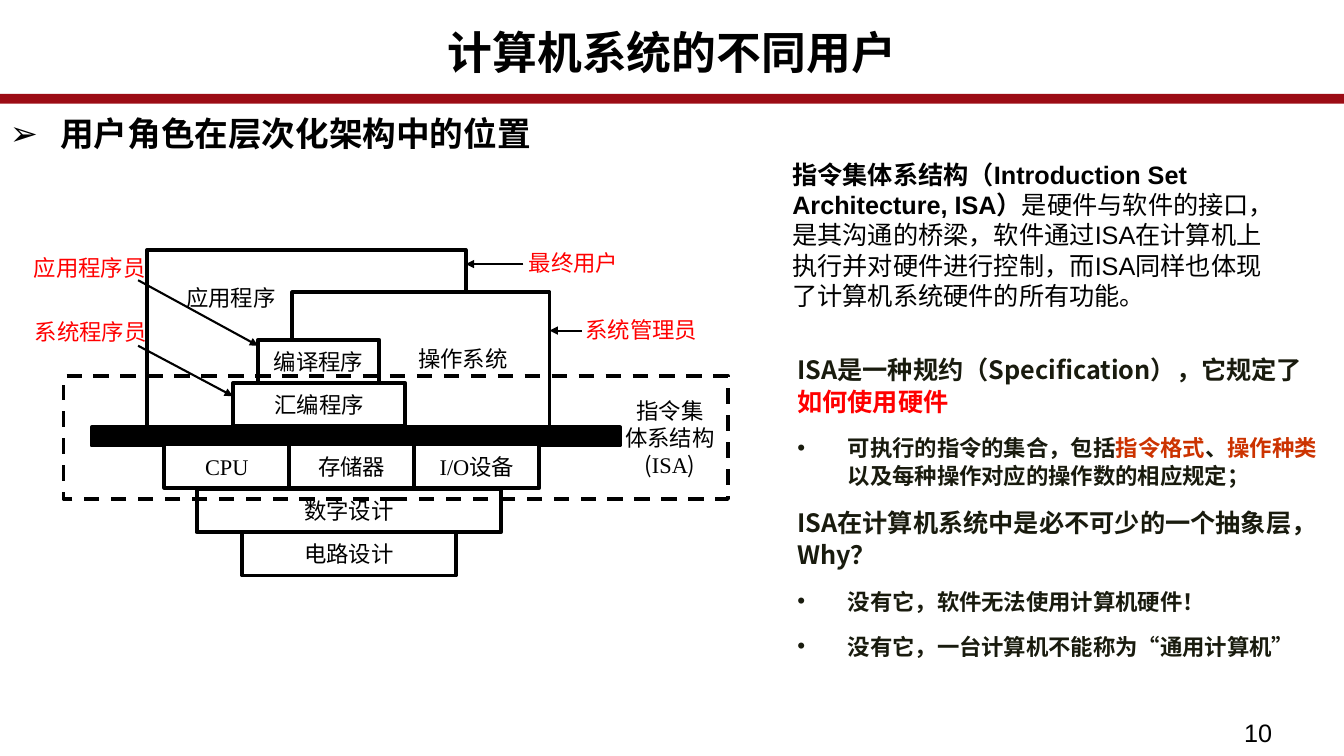
from pptx import Presentation
from pptx.dml.color import RGBColor
from pptx.enum.dml import MSO_LINE
from pptx.enum.shapes import MSO_CONNECTOR, MSO_SHAPE
from pptx.enum.text import MSO_ANCHOR, PP_ALIGN
from pptx.oxml.ns import qn
from pptx.util import Inches, Pt
from lxml import etree

BLACK = RGBColor(0x00, 0x00, 0x00)
WHITE = RGBColor(0xFF, 0xFF, 0xFF)
RED = RGBColor(0xFF, 0x00, 0x00)
DARK_RED = RGBColor(0x9C, 0x0C, 0x15)
INK = RGBColor(0x19, 0x1B, 0x0E)
ORANGE = RGBColor(0xCC, 0x33, 0x00)

RECTANGLE, ROUNDED = MSO_SHAPE.RECTANGLE, MSO_SHAPE.ROUNDED_RECTANGLE
STRAIGHT, DASH = MSO_CONNECTOR.STRAIGHT, MSO_LINE.DASH
CENTER, LEFT = PP_ALIGN.CENTER, PP_ALIGN.LEFT
TOP, MIDDLE = MSO_ANCHOR.TOP, MSO_ANCHOR.MIDDLE

CJK, SANS, SERIF = "Noto Sans CJK SC", "Arial", "Times New Roman"
ROW = 0.43  # height of one layer in the diagram


def add_span(para, text, **changes):
    values = {"name": CJK, "size": Pt(16), "bold": False} | changes
    color = values.pop("color", BLACK)
    span = para.add_run()
    span.text = text
    for key, value in values.items():
        setattr(span.font, key, value)
    span.font.color.rgb = color
    east_asian = etree.SubElement(span.font._element, qn("a:ea"))
    east_asian.set("typeface", CJK)


def add_bullet(para, symbol):
    props = para._p.get_or_add_pPr()
    props.set("marL", str(Inches(0.5)))
    props.set("indent", str(-Inches(0.5)))
    etree.SubElement(props, qn("a:buFont")).set("typeface", SANS)
    etree.SubElement(props, qn("a:buChar")).set("char", symbol)


def fill_text(box, paras, align=LEFT, anchor=TOP, bullets=None, **spacing):
    """Each paragraph is a list of (text, format values) spans."""
    frame = box.text_frame
    frame.word_wrap = True
    frame.vertical_anchor = anchor
    for index, spans in enumerate(paras):
        para = frame.add_paragraph() if index else frame.paragraphs[0]
        if bullets and bullets[index]:
            add_bullet(para, bullets[index])
        para.alignment = align
        for key, value in spacing.items():
            if index or key != "space_before":
                setattr(para, key, value)
        for text, values in spans:
            add_span(para, text, **values)


def add_text(page, place, paras, **options):
    box = page.shapes.add_textbox(*map(Inches, place))
    fill_text(box, paras, **options)


def add_label(page, place, text, color=BLACK):
    add_text(page, place, [[(text, {"color": color})]], align=CENTER)


def add_block(page, place, spans=(), fill=WHITE, line=BLACK, kind=RECTANGLE, dash=None):
    box = page.shapes.add_shape(kind, *map(Inches, place))
    box.shadow.inherit = False
    if fill is None:
        box.fill.background()
    else:
        box.fill.solid()
        box.fill.fore_color.rgb = fill
    box.line.color.rgb = line
    box.line.width = Pt(2.75)
    if dash:
        box.line.dash_style = dash
    if spans:
        fill_text(box, [spans], align=CENTER, anchor=MIDDLE)


def add_arrow(page, *ends):
    arrow = page.shapes.add_connector(STRAIGHT, *map(Inches, ends))
    arrow.line.color.rgb = BLACK
    arrow.line.width = Pt(1.5)
    etree.SubElement(arrow.line._get_or_add_ln(), qn("a:tailEnd")).set("type", "triangle")
    etree.SubElement(arrow._element.spPr, qn("a:effectLst"))


def add_header(page):
    add_block(page, (0, 0.95, 13.33, 0.06), fill=DARK_RED, line=DARK_RED, kind=ROUNDED)
    title = {"name": SANS, "size": Pt(32), "bold": True}
    add_text(page, (0, 0.26, 13.33, 0.75), [[("计算机系统的不同用户", title)]],
             align=CENTER, line_spacing=0.89)
    add_text(page, (12.24, 7.07, 1.09, 0.44), [[("10", {"name": SANS, "size": Pt(18)})]])
    heading = {"size": Pt(24), "bold": True}
    add_text(page, (0, 1.1, 5.4, 0.51), [[("用户角色在层次化架构中的位置", heading)]],
             bullets=["➢"], line_spacing=0.94)


def add_diagram(page):
    serif = {"name": SERIF}

    # Software layers above the interface
    add_block(page, (1.46, 2.48, 3.16, 1.76))
    add_block(page, (2.9, 2.9, 2.55, 1.34))
    add_block(page, (2.31, 3.8, 1.71, ROW), [("汇编程序", {})])
    add_block(page, (2.56, 3.37, 1.2, ROW), [("编译程序", {})])

    # Interface bar and hardware layers
    add_block(page, (0.91, 4.24, 5.24, 0.18), fill=BLACK)
    parts = [[("CPU", serif)], [("存储器", {})], [("I/O", serif), ("设备", {})]]
    for column, spans in enumerate(parts):
        add_block(page, (1.63 + 1.24 * column, 4.41, 1.24, ROW), spans)
    add_block(page, (1.95, 4.85, 3.02, ROW), [("数字设计", {})])
    add_block(page, (2.4, 5.28, 2.12, ROW), [("电路设计", {})])

    # Layer names and the dashed ISA frame
    add_label(page, (1.69, 2.77, 1.2, 0.37), "应用程序")
    add_label(page, (4.02, 3.37, 1.14, 0.37), "操作系统")
    add_block(page, (0.63, 3.73, 6.59, 1.22), fill=None, dash=DASH)
    add_text(page, (5.98, 3.89, 1.33, 0.85),
             [[("指令集", {})], [("体系结构", {})], [("(", {}), ("ISA", serif), (")", {})]],
             align=CENTER)

    # User roles, each with the arrow to its layer
    roles = [
        ("应用程序员", 0.22, 2.47, (1.37, 2.78, 2.56, 3.43)),
        ("系统程序员", 0.23, 3.11, (1.37, 3.43, 2.31, 3.93)),
        ("系统管理员", 5.69, 3.09, (5.77, 3.28, 5.45, 3.28)),
        ("最终用户", 5.02, 2.42, (5.19, 2.62, 4.62, 2.62)),
    ]
    for role, left, top, ends in roles:
        add_label(page, (left, top, 1.34, 0.37), role, RED)
        add_arrow(page, *ends)


def add_explanation(page):
    # Definition of ISA
    plain = {"name": SANS, "size": Pt(18)}
    definition = [
        ("指令集体系结构（Introduction Set Architecture, ISA）", plain | {"bold": True}),
        ("是硬件与软件的接口，是其沟通的桥梁，软件通过ISA在计算机上执行并对硬件进行控制，"
         "而ISA同样也体现了计算机系统硬件的所有功能。", plain),
    ]
    add_text(page, (7.76, 1.53, 4.87, 1.62), [definition])

    # Key points
    item = {"bold": True, "color": INK}
    point = item | {"size": Pt(18)}
    accent = item | {"color": ORANGE}
    paras = [
        [("ISA是一种规约（Specification），它规定了", point),
         ("如何使用硬件", point | {"color": RED})],
        [("可执行的指令的集合，包括", item), ("指令格式", accent), ("、", item),
         ("操作种类", accent), ("以及每种操作对应的操作数的相应规定；", item)],
        [("ISA在计算机系统中是必不可少的一个抽象层，Why？", point)],
        [("没有它，软件无法使用计算机硬件！", item)],
        [("没有它，一台计算机不能称为“通用计算机”", item)],
    ]
    add_text(page, (7.81, 3.45, 5.37, 3.31), paras, bullets=[None, "•", None, "•", "•"],
             line_spacing=1.05, space_before=Pt(10), space_after=Pt(2))


def main():
    deck = Presentation()
    deck.slide_width, deck.slide_height = Inches(13.33), Inches(7.5)
    page = deck.slides.add_slide(deck.slide_layouts[6])
    add_header(page)
    add_diagram(page)
    add_explanation(page)
    deck.save("out.pptx")


if __name__ == "__main__":
    main()
